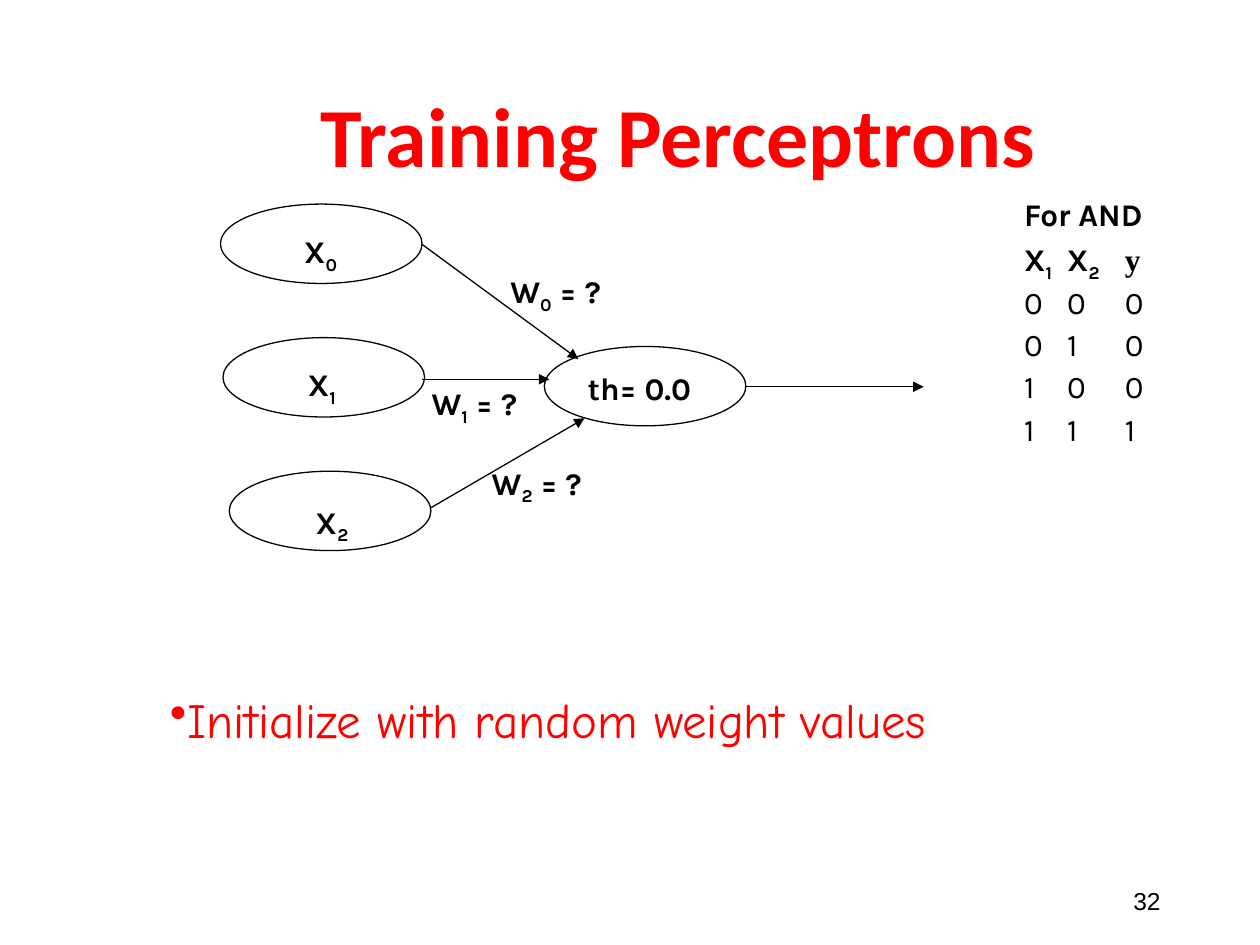
from dataclasses import dataclass

from lxml.etree import SubElement
from pptx import Presentation
from pptx.dml.color import RGBColor
from pptx.enum.shapes import MSO_CONNECTOR, MSO_SHAPE
from pptx.enum.text import MSO_ANCHOR, PP_ALIGN
from pptx.oxml.ns import qn
from pptx.util import Inches, Pt


@dataclass(frozen=True)
class Theme:
    ink = RGBColor(0, 0, 0)
    red = RGBColor(255, 0, 0)
    paper = RGBColor(255, 255, 255)
    head = {"name": "Calibri", "size": Pt(48), "bold": True}
    bullet = {"name": "Comic Neue", "size": Pt(28)}
    label = {"name": "Karla", "size": Pt(18), "bold": True}
    cell = {"name": "Karla", "size": Pt(18), "bold": False}
    serif = {"name": "Times New Roman", "size": Pt(18), "bold": True}
    page = {"name": "Arial", "size": Pt(14)}
    line = Pt(0.75)


THEME = Theme()
COLS, ROWS = 100, 75  # grid over the slide
CELL = Inches(0.1)


def grid(*cells):
    return [round(n * CELL) for n in cells]


def shift(box, x, y):
    return box[0] + x, box[1] + y


def write(para, text, look, color):
    """Add runs to a paragraph; each odd part between bars is a subscript."""
    for i, part in enumerate(text.split("|")):
        if not part:
            continue
        run = para.add_run()
        run.text = part
        for key, value in look.items():
            setattr(run.font, key, value)
        run.font.color.rgb = color
        if i % 2:
            run.font._element.set("baseline", "-25000")


def frame(slide, box, anchor=MSO_ANCHOR.TOP):
    text = slide.shapes.add_textbox(*grid(*box)).text_frame
    text.word_wrap = True
    text.vertical_anchor = anchor
    return text


def label(slide, box, text, look, color=THEME.ink, align=PP_ALIGN.CENTER,
          anchor=MSO_ANCHOR.TOP):
    para = frame(slide, box, anchor).paragraphs[0]
    para.alignment = align
    write(para, text, look, color)
    return para


def oval(slide, box):
    shape = slide.shapes.add_shape(MSO_SHAPE.OVAL, *grid(*box))
    shape.shadow.inherit = False
    shape.fill.solid()
    shape.fill.fore_color.rgb = THEME.paper
    shape.line.color.rgb = THEME.ink
    shape.line.width = THEME.line


def arrow(slide, start, end):
    link = slide.shapes.add_connector(
        MSO_CONNECTOR.STRAIGHT, *grid(*start, *end))
    link.line.color.rgb = THEME.ink
    link.line.width = THEME.line
    SubElement(link.line._get_or_add_ln(), qn("a:tailEnd"), type="triangle")
    SubElement(link._element.spPr, qn("a:effectLst"))


def title(slide, box):
    para = label(slide, box, "Training Perceptrons", THEME.head, THEME.red,
                 anchor=MSO_ANCHOR.MIDDLE)
    para.line_spacing = 0.9


def network(slide, box):
    wide, high, step = 16, 6.3, 10.6
    # Nodes: text, left, top, label offset
    nodes = [
        ("th= 0.0", 25.7, 11.3, (0.6, 1.3)),
        ("X|0|", 0, 0, (1, 1.7)),
        ("X|1|", 0.2, step, (0.9, 1.7)),
        ("X|2|", 0.7, 2 * step, (1.2, 2)),
    ]
    # Links: start and end
    links = [
        ((16, 3.2), (28.4, 12.3)),
        ((16, 13.9), (26.1, 13.9)),
        ((16.7, 24.1), (28.9, 17)),
        ((41.7, 14.5), (55.8, 14.5)),
    ]
    # Weights: left, top, width
    weights = [(19.1, 4.9, 15), (13.2, 13.8, 13.9), (16.7, 20.1, 16.8)]

    for _, x, y, _ in nodes:
        oval(slide, (*shift(box, x, y), wide, high))
    for start, end in links:
        arrow(slide, shift(box, *start), shift(box, *end))
    for text, x, y, (dx, dy) in nodes:
        label(slide, (*shift(box, x + dx, y + dy), 13.9, 3), text, THEME.label)
    for i, (x, y, w) in enumerate(weights):
        label(slide, (*shift(box, x, y), w, 3), f"W|{i}| = ?", THEME.label)


def truth(slide, box):
    text = frame(slide, box)
    rows = [("For AND", THEME.label), ("X|1|\tX|2|\t", THEME.label)]
    for a in (0, 1):
        for b in (0, 1):
            rows.append((f"{a}\t{b}\t{a & b}", THEME.cell))
    for i, (row, look) in enumerate(rows):
        para = text.add_paragraph() if i else text.paragraphs[0]
        # Column stops
        tabs = SubElement(para._p.get_or_add_pPr(), qn("a:tabLst"))
        for stop in grid(3.4, 8):
            SubElement(tabs, qn("a:tab"), pos=str(stop), algn="l")
        para.line_spacing = 0.7
        if i:
            para.space_before = Pt(9)
        write(para, row, look, THEME.ink)
    write(text.paragraphs[1], "y", THEME.serif, THEME.ink)


def point(slide, box):
    para = frame(slide, box).paragraphs[0]
    props = para._p.get_or_add_pPr()
    for key in ("marL", "indent"):
        props.set(key, "0")
    SubElement(props, qn("a:buChar"), char="•")
    write(para, "Initialize with random weight values",
          THEME.bullet, THEME.red)


def number(slide, box):
    label(slide, box, "32", THEME.page, align=PP_ALIGN.RIGHT,
          anchor=MSO_ANCHOR.MIDDLE)


def main():
    deck = Presentation()
    deck.slide_width, deck.slide_height = grid(COLS, ROWS)
    slide = deck.slides.add_slide(deck.slide_layouts[6])
    number(slide, (70.6, 69.5, 22.5, 4))
    title(slide, (11.2, 6.7, 85.2, 8.9))
    point(slide, (12.5, 54.2, 75, 5.7))
    network(slide, (17.5, 16.2))
    truth(slide, (80.3, 15.8, 14.1, 21.3))
    deck.save("out.pptx")


if __name__ == "__main__":
    main()
